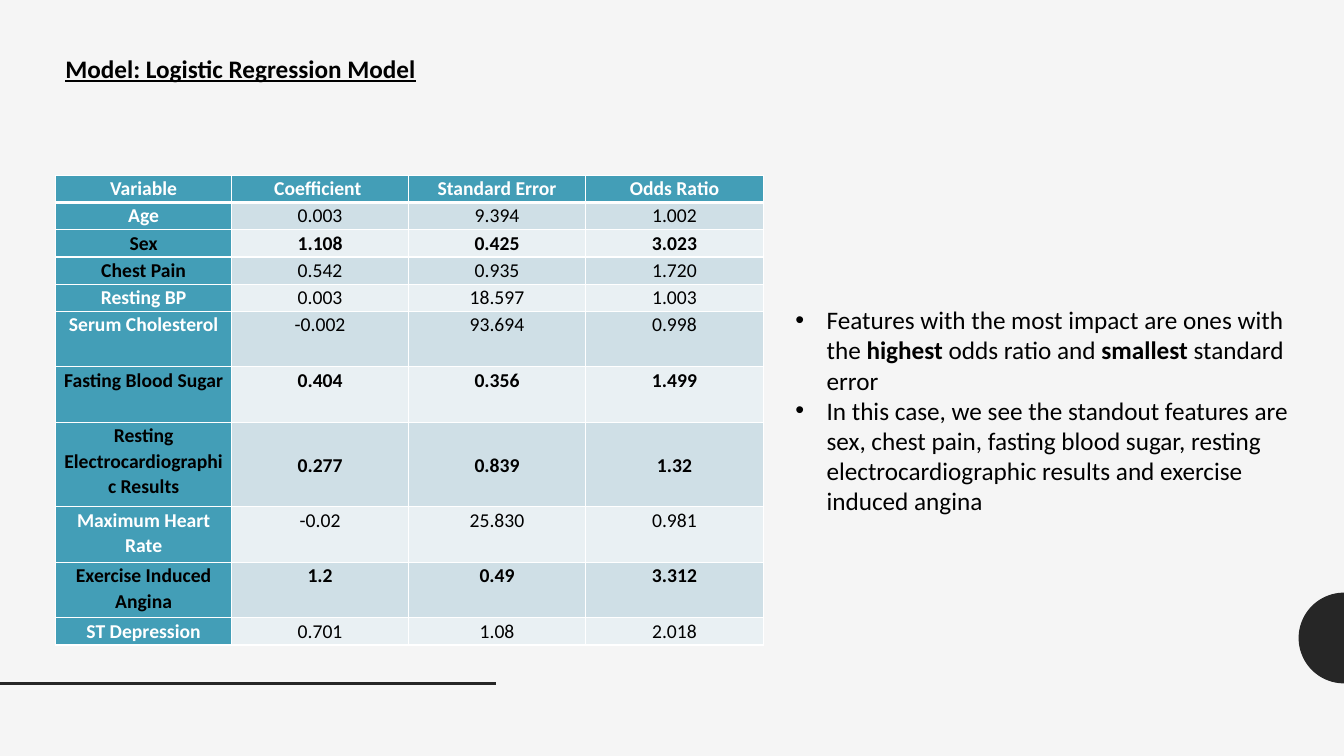
from math import cos, pi, sin
from lxml.etree import SubElement as Sub
from pptx import Presentation
from pptx.dml.color import RGBColor as Rgb
from pptx.enum.shapes import MSO_CONNECTOR as Conn
from pptx.enum.text import MSO_ANCHOR as Anchor, MSO_AUTO_SIZE as Auto, PP_ALIGN as Align
from pptx.oxml.ns import qn
from pptx.util import Inches, Pt

hues = {"back": "F5F5F5", "dark": "262626", "black": "000000", "white": "FFFFFF",
        "teal": "439EB7", "odd": "CFDFE6", "even": "E9F0F3"}


def tint(name):
    return Rgb.from_string(hues[name])


def style(run, size, hue="black", bold=False):
    run.font.name = "Calibri"
    run.font.size = Pt(size)
    run.font.bold = bold
    run.font.color.rgb = tint(hue)


deck = Presentation()
deck.slide_width, deck.slide_height = Inches(13.33), Inches(7.5)
slide = deck.slides.add_slide(deck.slide_layouts[6])
slide.background.fill.solid()
slide.background.fill.fore_color.rgb = tint("back")
shapes = slide.shapes

mid, rad, steps = 6.33, 0.45, 48
arc = [(Inches(13.33 - rad * sin(pi * i / steps)), Inches(mid - rad * cos(pi * i / steps)))
       for i in range(steps + 1)]
path = shapes.build_freeform(*arc[0])
path.add_line_segments(arc[1:], close=True)
dome = path.convert_to_shape()
dome.shadow.inherit = False
dome.fill.solid()
dome.fill.fore_color.rgb = tint("dark")
dome.line.fill.background()

rule = shapes.add_connector(Conn.STRAIGHT, 0, Inches(6.78), Inches(4.92), Inches(6.78))
rule.line.color.rgb = tint("dark")
rule.line.width = Pt(2)
Sub(rule._element.spPr, qn("a:effectLst"))

title = shapes.add_textbox(Inches(0.55), Inches(0.48), Inches(3.85), Inches(0.4)).text_frame
title.word_wrap = False
title.auto_size = Auto.SHAPE_TO_FIT_TEXT
title.text = "Model: Logistic Regression Model"
head = title.paragraphs[0].runs[0]
style(head, 18, bold=True)
head.font.underline = True

rows = [
    ("Variable", "Coefficient ", "Standard Error", "Odds Ratio"),
    ("Age", "0.003", "9.394", "1.002"),
    ("Sex", "1.108", "0.425", "3.023"),
    ("Chest Pain", "0.542", "0.935", "1.720"),
    ("Resting BP", "0.003", "18.597", "1.003"),
    ("Serum Cholesterol", "-0.002", "93.694", "0.998"),
    ("Fasting Blood Sugar", "0.404", "0.356", "1.499"),
    ("Resting Electrocardiographic Results", "0.277", "0.839", "1.32"),
    ("Maximum Heart Rate", "-0.02", "25.830", "0.981"),
    ("Exercise Induced Angina", "1.2", "0.49", "3.312"),
    ("ST Depression", "0.701", "1.08", "2.018"),
]
highs = [0.27] * 5 + [0.55, 0.55, 0.84, 0.55, 0.55, 0.27]
wides = [1.75, 1.75, 1.76, 1.76]
strong = {2, 6, 7, 9}
marked = strong | {3}
tall = 7

grid = shapes.add_table(len(rows), len(wides), Inches(0.55), Inches(1.74),
                        Inches(sum(wides)), Inches(sum(highs))).table
grid.first_row = grid.horz_banding = False
for col, wide in zip(grid.columns, wides):
    col.width = Inches(wide)
for r, row in enumerate(rows):
    grid.rows[r].height = Inches(highs[r])
    for c, text in enumerate(row):
        cell = grid.cell(r, c)
        label = r == 0 or c == 0
        cell.margin_left = cell.margin_right = Inches(0.07)
        cell.margin_top = cell.margin_bottom = 0
        cell.vertical_anchor = Anchor.MIDDLE if r == tall and c else Anchor.TOP
        props = cell._tc.get_or_add_tcPr()
        for side in "LRTB":
            if r == 1 and side == "T":
                continue
            thick = 3 if r == 0 and side == "B" else 1
            edge = Sub(props, qn("a:ln" + side), w=str(Pt(thick)))
            Sub(Sub(edge, qn("a:solidFill")), qn("a:srgbClr"), val=hues["white"])
        cell.fill.solid()
        cell.fill.fore_color.rgb = tint("teal" if label else "odd" if r % 2 else "even")
        cell.text_frame.text = text
        para = cell.text_frame.paragraphs[0]
        para.alignment = Align.CENTER
        para.line_spacing = 1.07
        hue = "white" if label and r not in marked else "black"
        style(para.runs[0], 14, hue, label or r in strong)

notes = [
    [("Features with the most impact are ones with the ", False), ("highest", True),
     (" odds ratio and ", False), ("smallest", True), (" standard error", False)],
    [("In this case, we see the standout features are sex, chest pain, fasting blood sugar, "
      "resting electrocardiographic results and exercise induced angina", False)],
]
body = shapes.add_textbox(Inches(7.79), Inches(2.97), Inches(5.29), Inches(2.22)).text_frame
body.word_wrap = True
body.auto_size = Auto.SHAPE_TO_FIT_TEXT
for i, parts in enumerate(notes):
    para = body.add_paragraph() if i else body.paragraphs[0]
    props = para._p.get_or_add_pPr()
    props.set("marL", str(Inches(0.31)))
    props.set("indent", str(-Inches(0.31)))
    Sub(props, qn("a:buFont"), typeface="Arial")
    Sub(props, qn("a:buChar"), char="•")
    for text, bold in parts:
        run = para.add_run()
        run.text = text
        style(run, 18, bold=bold)

deck.save("out.pptx")
